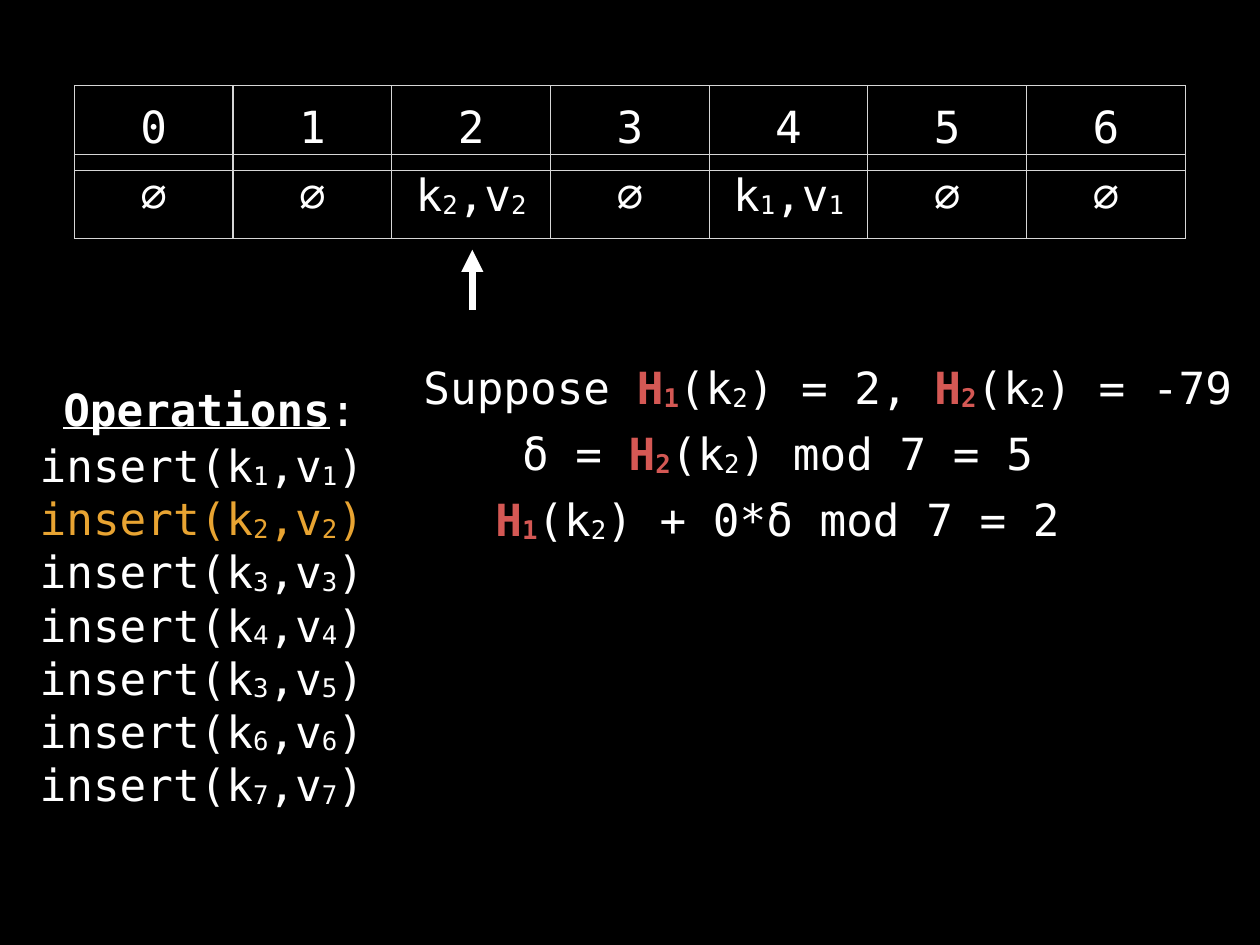
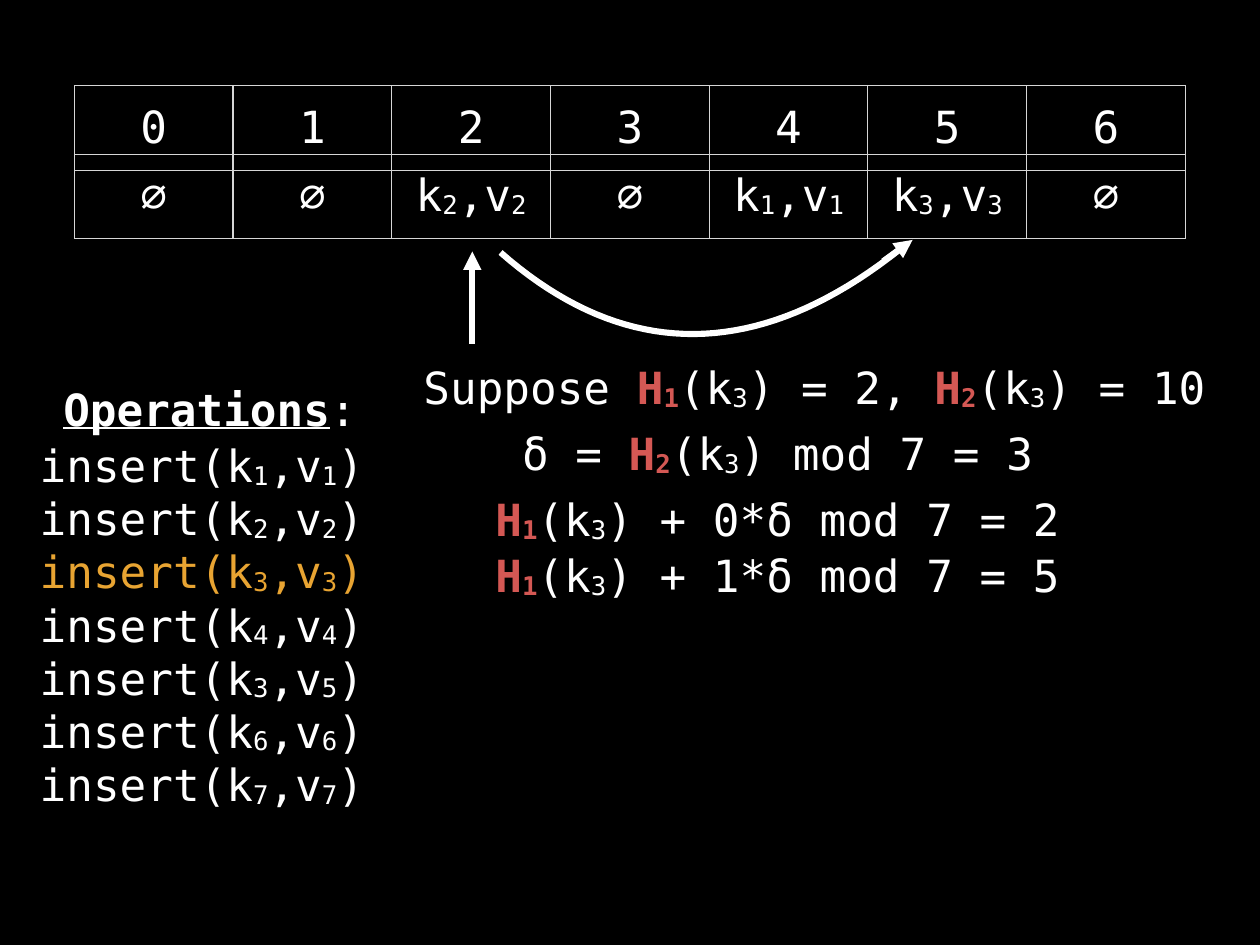
from lxml import etree
from pptx import Presentation
from pptx import util as u
from pptx.dml.color import RGBColor
from pptx.enum import shapes, text
from pptx.oxml.ns import qn
from pptx.util import Cm

COLORS = {"back": "000000", "plain": "FFFFFF", "current": "E8A432",
          "hash": "D45854", "grid": "D6D6D6"}
FONT, SIZE, INSET = "DejaVu Sans Mono", u.Pt(36), Cm(0.15)
EMPHASIS = {"H": {"color": "hash", "bold": True},
            "Operations": {"bold": True, "underline": True}}

COLUMN, ROW, TABLE_LEFT = Cm(4.55), Cm(2.42), Cm(2.13)
INDEX_TOP, BUCKET_TOP = Cm(2.46), Cm(4.42)
PROBE_X = 13.54
OPERATIONS = [(1, 1), (2, 2), (3, 3), (4, 4), (3, 5), (6, 6), (7, 7)]

STEPS = [
    {"key": 2, "filled": {2: 2, 4: 1}, "second_hash": "-79", "delta": 5,
     "probes": [2], "pointer": (8.89, 7.16, 6), "jump": None},
    {"key": 3, "filled": {2: 2, 4: 1, 5: 3}, "second_hash": "10", "delta": 3,
     "probes": [2, 5], "pointer": (9.86, 7.21, 5),
     "jump": [(14.35, 7.24), (17.93, 10.39), (21.77, 10.36), (25.81, 7.14)]},
]


def write(frame, lines, align="LEFT", anchor="MIDDLE", current=None):
    """Fill a text frame or cell; "|" parts runs and "_" starts a subscript."""
    frame.vertical_anchor = text.MSO_ANCHOR[anchor]
    frame.margin_left = frame.margin_right = INSET
    frame.margin_top = frame.margin_bottom = INSET
    body = getattr(frame, "text_frame", frame)
    body.word_wrap = True
    for number, line in enumerate(lines):
        paragraph = body.add_paragraph() if number else body.paragraphs[0]
        paragraph.alignment = text.PP_ALIGN[align]
        base = "current" if number == current else "plain"
        style = {}
        for piece in line.split("|"):
            subscript = piece.startswith("_")
            if not subscript:
                style = EMPHASIS.get(piece, {})
            run = paragraph.add_run()
            run.text = piece.lstrip("_")
            run.font.name, run.font.size = FONT, SIZE
            run.font.bold = style.get("bold", False)
            run.font.underline = style.get("underline", False)
            run.font.color.rgb = RGBColor.from_string(COLORS[style.get("color", base)])
            if subscript:
                run._r.get_or_add_rPr().set("baseline", "-6000")


def add_arrow(slide, start, end, width):
    arrow = slide.shapes.add_connector(
        shapes.MSO_CONNECTOR.STRAIGHT, *[Cm(value) for value in (*start, *end)])
    arrow.line.color.rgb = RGBColor.from_string(COLORS["plain"])
    arrow.line.width = u.Pt(width)
    properties = arrow._element.spPr
    etree.SubElement(properties.find(qn("a:ln")), qn("a:tailEnd"), type="triangle")
    etree.SubElement(properties, qn("a:effectLst"))


prs = Presentation()
prs.slide_width, prs.slide_height = Cm(36.12), Cm(27.1)
backdrop = prs.slide_master.background.fill
backdrop.solid()
backdrop.fore_color.rgb = RGBColor.from_string(COLORS["back"])

for step in STEPS:
    slide = prs.slides.add_slide(prs.slide_layouts[6])
    key = step["key"]

    # Hash table: bucket contents and their indices
    buckets = [f"k|_{step['filled'][i]}|,v|_{step['filled'][i]}"
               if i in step["filled"] else "∅" for i in range(7)]
    indices = [str(i) for i in range(7)]
    for top, entries in ((BUCKET_TOP, buckets), (INDEX_TOP, indices)):
        row = slide.shapes.add_table(1, 7, TABLE_LEFT, top, COLUMN * 7, ROW).table
        row.first_row = row.horz_banding = False
        for column, entry in enumerate(entries):
            cell = row.cell(0, column)
            write(cell, [entry], align="CENTER")
            for side in ("lnL", "lnR", "lnT", "lnB"):
                border = etree.SubElement(cell._tc.get_or_add_tcPr(),
                                          qn(f"a:{side}"), w=str(u.Pt(1)))
                paint = etree.SubElement(border, qn("a:solidFill"))
                etree.SubElement(paint, qn("a:srgbClr"), val=COLORS["grid"])
            cell.fill.background()

    # Operations and hash calculation
    calls = [f"insert(k|_{k}|,v|_{v}|)" for k, v in OPERATIONS]
    hash_values = f"Suppose |H|_1|(k|_{key}|) = 2, |H|_2|(k|_{key}|) = {step['second_hash']}"
    delta = f"δ = |H|_2|(k|_{key}|) mod 7 = {step['delta']}"
    blocks = [
        (1.65, 10.85, 8.74, 1.73, ["Operations|:"], {"align": "CENTER"}),
        (0.99, 12.42, 10.52, 10.41, calls,
         {"anchor": "TOP", "current": OPERATIONS.index((key, key))}),
        (11.99, 10.24, 23.77, 1.73, [hash_values], {}),
        (13.97, 12.12, 16.64, 1.73, [delta], {"align": "CENTER"}),
    ]
    for attempt, bucket in enumerate(step["probes"]):
        probe = f"H|_1|(k|_{key}|) + {attempt}*δ mod 7 = {bucket}"
        blocks.append((13.97, 14.02 + 1.6 * attempt, 16.64, 1.73, [probe],
                       {"align": "CENTER"}))
    for left, top, width, height, lines, form in blocks:
        box = slide.shapes.add_textbox(Cm(left), Cm(top), Cm(width), Cm(height))
        write(box.text_frame, lines, **form)

    # Probe arrows
    tail, tip, weight = step["pointer"]
    add_arrow(slide, (PROBE_X, tail), (PROBE_X, tip), weight)
    if step["jump"]:
        curve = []
        for t in (n / 40 for n in range(41)):
            weights = ((1 - t) ** 3, 3 * t * (1 - t) ** 2, 3 * t * t * (1 - t), t ** 3)
            curve.append(tuple(Cm(sum(w * point[axis] for w, point
                                      in zip(weights, step["jump"]))) for axis in (0, 1)))
        builder = slide.shapes.build_freeform(*curve[0])
        builder.add_line_segments(curve[1:], close=False)
        arc = builder.convert_to_shape()
        arc.shadow.inherit = False
        arc.fill.background()
        arc.line.color.rgb = RGBColor.from_string(COLORS["plain"])
        arc.line.width = u.Pt(weight)
        add_arrow(slide, (25.32, 7.49), (26.16, 6.88), weight)

prs.save("out.pptx")
